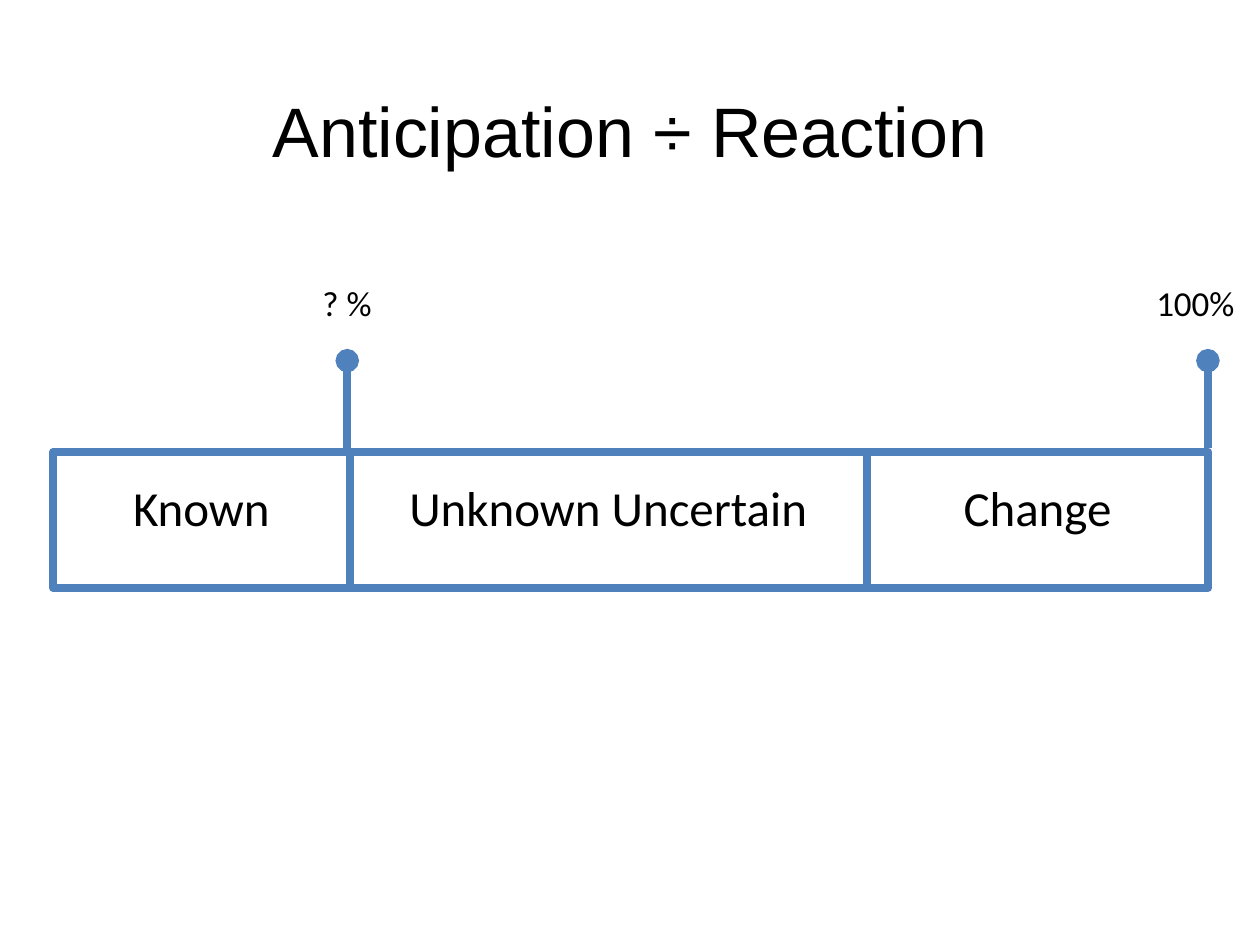
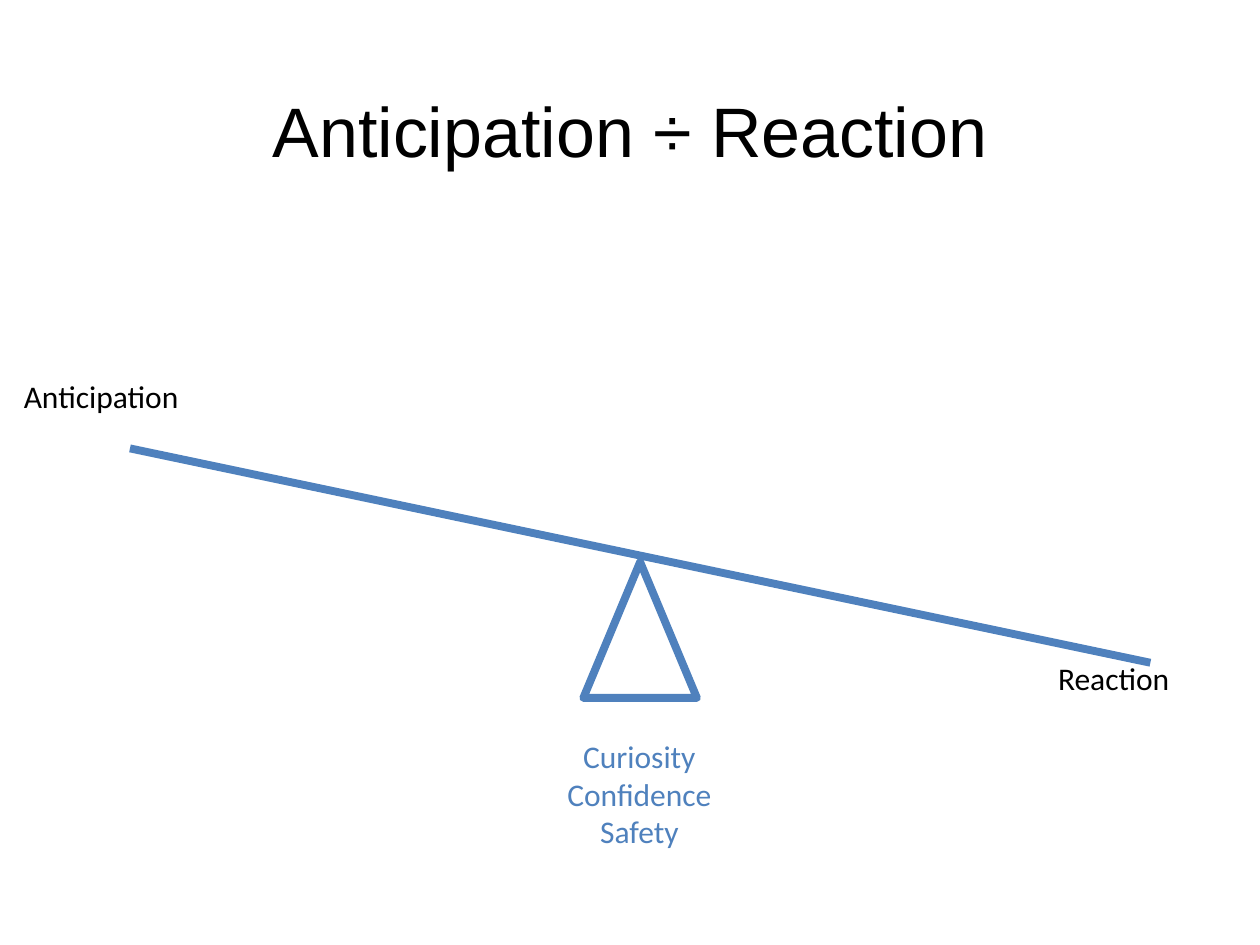
from dataclasses import dataclass

from lxml import etree
from pptx import Presentation
from pptx import util as u
from pptx.dml.color import RGBColor
from pptx.enum import shapes, text
from pptx.oxml.ns import qn

Cm, Pt = u.Cm, u.Pt
LEFT, CENTER = text.PP_ALIGN.LEFT, text.PP_ALIGN.CENTER


@dataclass(frozen=True)
class Theme:
    blue: RGBColor = RGBColor(0x4F, 0x81, 0xBD)
    black: RGBColor = RGBColor(0, 0, 0)
    heading_font: str = "Arial"
    body_font: str = "Calibri"
    title: int = 40
    box: int = 28
    percent: int = 20
    label: int = 18
    line: float = 4.5


class Deck:
    def __init__(self, theme):
        self.theme = theme
        self.prs = Presentation()
        self.prs.slide_width, self.prs.slide_height = Cm(25.4), Cm(19.05)
        self.s = None

    def slide(self, title):
        self.s = self.prs.slides.add_slide(self.prs.slide_layouts[6])
        self.text(title, 0, 1.63, 25.4, 1.96, self.theme.title, CENTER,
                  font=self.theme.heading_font)

    def text(self, content, x, y, w, h, size, align=LEFT, color=None, font=None):
        tf = self.s.shapes.add_textbox(Cm(x), Cm(y), Cm(w), Cm(h)).text_frame
        tf.word_wrap = True
        tf.text = content
        for p in tf.paragraphs:
            p.alignment = align
            p.font.name = font or self.theme.body_font
            p.font.size = Pt(size)
            p.font.color.rgb = color or self.theme.black

    def outline(self, kind, x, y, w, h):
        sp = self.s.shapes.add_shape(kind, Cm(x), Cm(y), Cm(w), Cm(h))
        sp.shadow.inherit = False
        sp.fill.background()
        self.stroke(sp.line)
        return sp

    def line(self, x1, y1, x2, y2, tail=None):
        c = self.s.shapes.add_connector(
            shapes.MSO_CONNECTOR.STRAIGHT, Cm(x1), Cm(y1), Cm(x2), Cm(y2))
        self.stroke(c.line)
        if tail:
            etree.SubElement(c.line._get_or_add_ln(), qn("a:tailEnd"), type=tail)
        etree.SubElement(c._element.spPr, qn("a:effectLst"))
        return c

    def stroke(self, line):
        line.color.rgb = self.theme.blue
        line.width = Pt(self.theme.line)


def knowledge_bar(deck):
    theme = deck.theme
    deck.slide("Anticipation ÷ Reaction")

    # Three adjoining boxes
    names = ["Known", "Unknown Uncertain", "Change"]
    edges = [1.07, 7.05, 17.47, 24.36]
    for name, left, right in zip(names, edges, edges[1:]):
        deck.outline(shapes.MSO_SHAPE.RECTANGLE, left, 9.11, right - left, 2.74)
        deck.text(name, left, 9.5, right - left, 1.45, theme.box, CENTER)

    # Percentage pins
    for percent, pin_x, label_x in [("? %", 7, 6.25), ("100%", 24.35, 23.06)]:
        deck.line(pin_x, 9.04, pin_x, 7.27, tail="oval")
        deck.text(percent, label_x, 5.55, 2.2, 1.12, theme.percent)


def seesaw(deck):
    theme = deck.theme
    deck.slide("Anticipation ÷ Reaction")

    # Pivot and beam
    deck.outline(shapes.MSO_SHAPE.ISOSCELES_TRIANGLE, 11.76, 11.33, 2.29, 2.74)
    deck.line(2.62, 9.04, 23.19, 13.36)

    # Labels
    deck.text("Anticipation", 0.23, 7.47, 3.8, 1.02, theme.label)
    deck.text("Reaction", 21.08, 13.16, 2.9, 1.02, theme.label)
    deck.text("Curiosity\nConfidence\nSafety", 10.69, 14.73, 4.4, 3.33,
              theme.label, CENTER, theme.blue)


def main():
    deck = Deck(Theme())
    knowledge_bar(deck)
    seesaw(deck)
    deck.prs.save("out.pptx")


if __name__ == "__main__":
    main()
